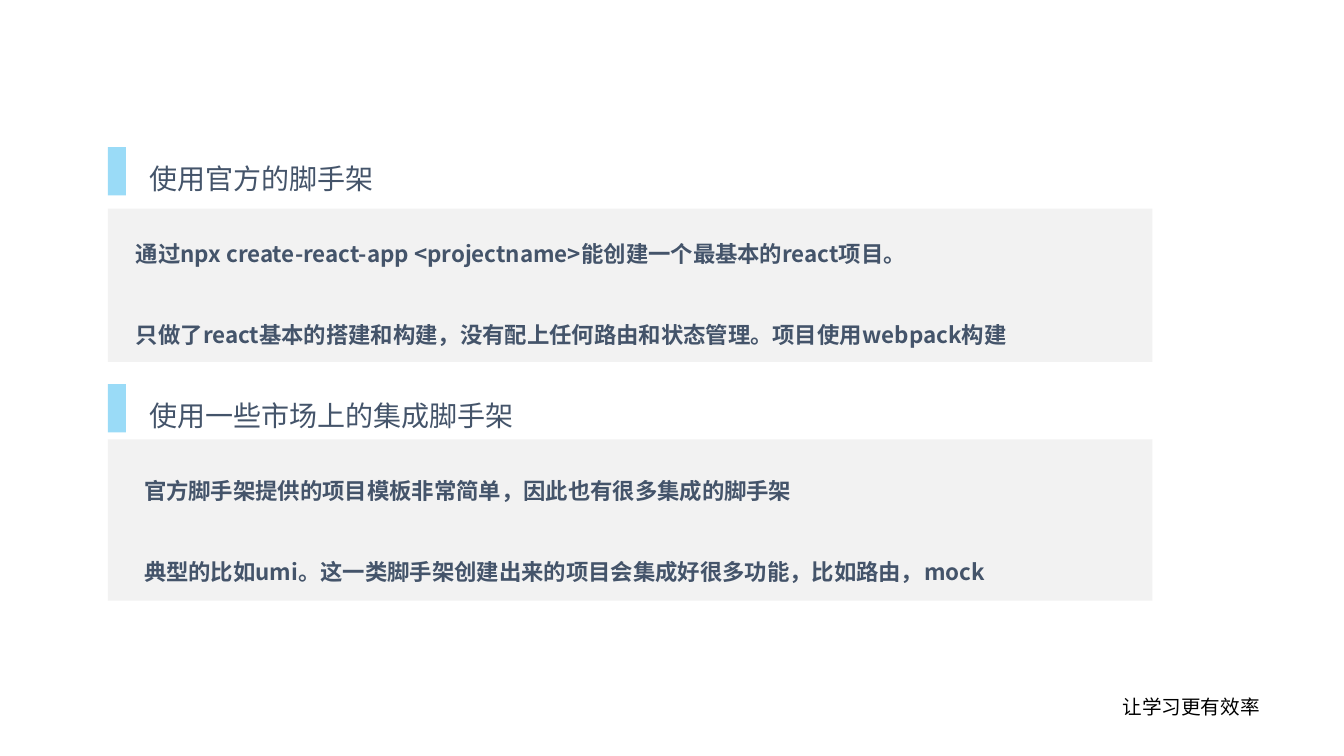
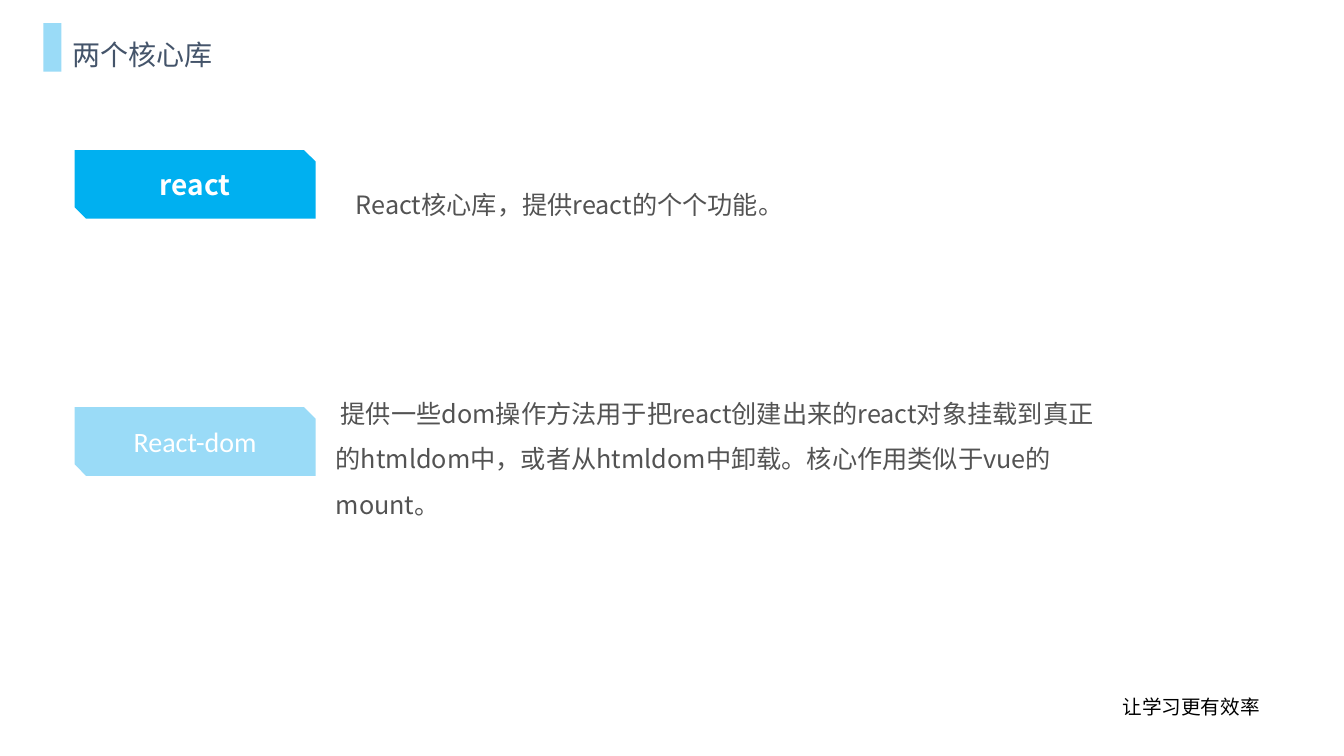
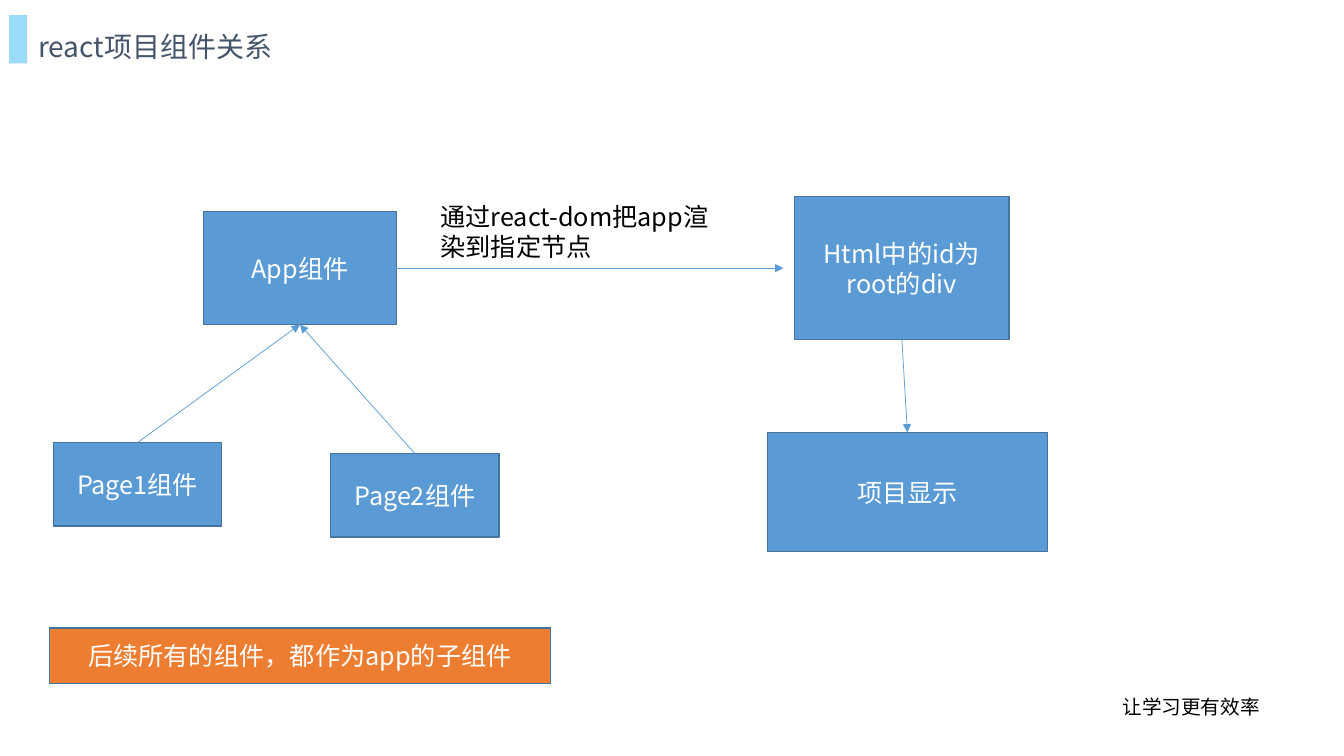
"""Build three slides on React scaffolding, core libraries and component relations."""
import dataclasses

import lxml.etree
import pptx
import pptx.dml.color
import pptx.enum.shapes
import pptx.enum.text
import pptx.oxml.ns
import pptx.util

SHAPE = pptx.enum.shapes.MSO_SHAPE
ALIGN = pptx.enum.text.PP_ALIGN
ANCHOR = pptx.enum.text.MSO_ANCHOR
TOP, LEFT, BOTTOM, RIGHT = range(4)


@dataclasses.dataclass(frozen=True)
class Theme:
    font: str = "Noto Sans CJK SC"
    latin_font: str = "Calibri"
    heading: str = "44546A"
    body: str = "535353"
    ink: str = "000000"
    paper: str = "FFFFFF"
    panel: str = "F2F2F2"
    accent: str = "9ADBF7"
    strong: str = "00B0F0"
    node: str = "5B9BD5"
    node_edge: str = "43739E"
    note: str = "ED7D31"
    heading_size: int = 20
    body_size: int = 18
    panel_size: int = 16
    footer_size: int = 14
    line_height: float = 1.2


class Deck:
    def __init__(self, theme):
        self.theme = theme
        self.cell = pptx.util.Inches(0.1)
        self.show = pptx.Presentation()
        self.show.slide_width = self.span(133.3)
        self.show.slide_height = self.span(75)
        self.slide = None

    def span(self, cells):
        return pptx.util.Emu(round(cells * self.cell))

    def new_slide(self):
        self.slide = self.show.slides.add_slide(self.show.slide_layouts[6])
        self.text((97.6, 68.4, 41.1, 3.4), ["让学习更有效率"],
                  self.theme.footer_size, self.theme.ink, align=ALIGN.CENTER)

    def fill_text(self, shape, lines, size, color, bold=False, leading=1, align=ALIGN.LEFT,
                  anchor=ANCHOR.TOP, inset=None, gap=0, indent=0, font=None):
        frame = shape.text_frame
        frame.word_wrap = True
        frame.vertical_anchor = anchor
        if inset is not None:
            frame.margin_left = frame.margin_right = self.span(inset)
            frame.margin_top = frame.margin_bottom = self.span(inset)
        frame.text = "\n".join(lines)
        for number, paragraph in enumerate(frame.paragraphs):
            paragraph.alignment = align
            paragraph.line_spacing = pptx.util.Pt(round(size * self.theme.line_height * leading, 1))
            paragraph.space_before = pptx.util.Pt(gap if number else 0)
            if indent:
                paragraph._p.get_or_add_pPr().set("indent", str(self.span(indent)))
            for run in paragraph.runs:
                run.font.name = font or self.theme.font
                run.font.size = pptx.util.Pt(size)
                run.font.bold = bold
                run.font.color.rgb = pptx.dml.color.RGBColor.from_string(color)
                east_asian = lxml.etree.SubElement(
                    run._r.get_or_add_rPr(), pptx.oxml.ns.qn("a:ea"))
                east_asian.set("typeface", self.theme.font)

    def text(self, area, lines, size, color, **style):
        box = self.slide.shapes.add_textbox(*map(self.span, area))
        self.fill_text(box, lines, size, color, **style)

    def block(self, area, fill, edge=None, outline=SHAPE.RECTANGLE):
        block = self.slide.shapes.add_shape(outline, *map(self.span, area))
        block.shadow.inherit = False
        block.fill.solid()
        block.fill.fore_color.rgb = pptx.dml.color.RGBColor.from_string(fill)
        if edge:
            block.line.color.rgb = pptx.dml.color.RGBColor.from_string(edge)
            block.line.width = pptx.util.Pt(1)
        else:
            block.line.fill.background()
        return block

    def heading(self, left, top, words, gap=2.9):
        self.block((left, top, 1.8, 4.8), self.theme.accent)
        self.text((left + gap - 1, top - 0.7, 98.5, 5.5), [words],
                  self.theme.heading_size, self.theme.heading, leading=1.5)

    def panel(self, top, height, lines, text_left, text_top):
        self.block((10.7, top, 103.6, height), self.theme.panel)
        self.text((text_left, text_top, 98.5, 12.7), lines, self.theme.panel_size,
                  self.theme.heading, bold=True, leading=1.5, gap=29)

    def tag(self, top, words, fill, **style):
        tag = self.block((7.4, top, 23.9, 6.8), fill, outline=SHAPE.SNIP_2_DIAG_RECTANGLE)
        self.fill_text(tag, [words], self.theme.heading_size, self.theme.paper,
                       align=ALIGN.CENTER, anchor=ANCHOR.MIDDLE, inset=0.5, **style)

    def explanation(self, area, words, leading, indent=0):
        self.text(area, [words], self.theme.body_size, self.theme.body, leading=leading,
                  anchor=ANCHOR.MIDDLE, inset=0.7, indent=indent)

    def node(self, area, words, fill=None):
        node = self.block(area, fill or self.theme.node, self.theme.node_edge)
        self.fill_text(node, [words], self.theme.body_size, self.theme.paper,
                       align=ALIGN.CENTER, anchor=ANCHOR.MIDDLE)
        return node

    def arrow(self, source, source_side, target, target_side, gap=0):
        arrow = self.slide.shapes.add_connector(
            pptx.enum.shapes.MSO_CONNECTOR.STRAIGHT, 0, 0, 0, 0)
        arrow.begin_connect(source, source_side)
        if gap:
            arrow.end_x = target.left - self.span(gap)
            arrow.end_y = target.top + target.height // 2
        else:
            arrow.end_connect(target, target_side)
        arrow.line.color.rgb = pptx.dml.color.RGBColor.from_string(self.theme.node)
        arrow.line.width = pptx.util.Pt(0.5)
        tip = lxml.etree.SubElement(arrow.line._get_or_add_ln(), pptx.oxml.ns.qn("a:tailEnd"))
        tip.set("type", "triangle")
        lxml.etree.SubElement(arrow._element.spPr, pptx.oxml.ns.qn("a:effectLst"))


def scaffolds(deck):
    deck.new_slide()
    deck.heading(10.7, 14.6, "使用官方的脚手架", gap=4.1)
    deck.panel(20.7, 15.2, [
        "通过npx create-react-app <projectname>能创建一个最基本的react项目。",
        "只做了react基本的搭建和构建，没有配上任何路由和状态管理。项目使用webpack构建",
    ], 12.5, 22)
    deck.heading(10.7, 38.1, "使用一些市场上的集成脚手架", gap=4.1)
    deck.panel(43.6, 16, [
        "官方脚手架提供的项目模板非常简单，因此也有很多集成的脚手架",
        "典型的比如umi。这一类脚手架创建出来的项目会集成好很多功能，比如路由，mock",
    ], 13.3, 45.5)


def core_libraries(deck):
    deck.new_slide()
    deck.heading(4.3, 2.3, "两个核心库")
    deck.tag(14.9, "react", deck.theme.strong, bold=True)
    deck.explanation((34.6, 15.2, 75.7, 7.1), "React核心库，提供react的个个功能。", 2)
    deck.tag(40.4, "React-dom", deck.theme.accent, font=deck.theme.latin_font)
    deck.explanation(
        (32.6, 41.2, 77, 7.1),
        "提供一些dom操作方法用于把react创建出来的react对象挂载到真正的htmldom中，"
        "或者从htmldom中卸载。核心作用类似于vue的mount。", 1.5, indent=0.5)


def component_relations(deck):
    deck.new_slide()
    deck.heading(0.9, 1.5, "react项目组件关系")
    app = deck.node((20.2, 21, 19.1, 11.2), "App组件")
    first_page = deck.node((5.3, 43.9, 16.7, 8.3), "Page1组件")
    second_page = deck.node((32.8, 45, 16.7, 8.3), "Page2组件")
    root = deck.node((78.8, 19.5, 21.3, 14.2), "Html中的id为root的div")
    display = deck.node((76.1, 42.9, 27.8, 11.8), "项目显示")
    deck.node((4.9, 62.3, 49.7, 5.5), "后续所有的组件，都作为app的子组件", deck.theme.note)
    for page in (first_page, second_page):
        deck.arrow(page, TOP, app, BOTTOM)
    deck.arrow(app, RIGHT, root, LEFT, gap=1.1)
    deck.arrow(root, BOTTOM, display, TOP)
    deck.text((42.7, 19.5, 30, 7.1), ["通过react-dom把app渲染到指定节点"],
              deck.theme.body_size, deck.theme.ink)


def main():
    deck = Deck(Theme())
    scaffolds(deck)
    core_libraries(deck)
    component_relations(deck)
    deck.show.save("out.pptx")


if __name__ == "__main__":
    main()
